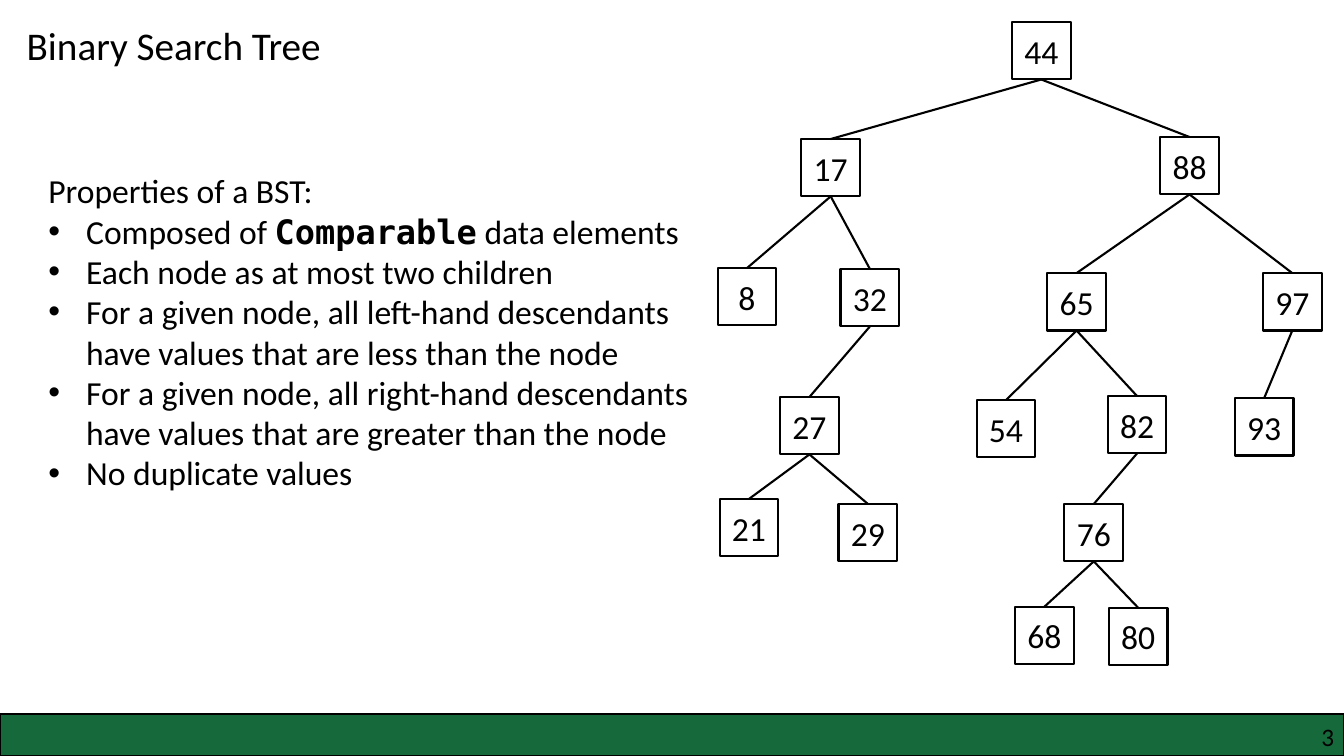
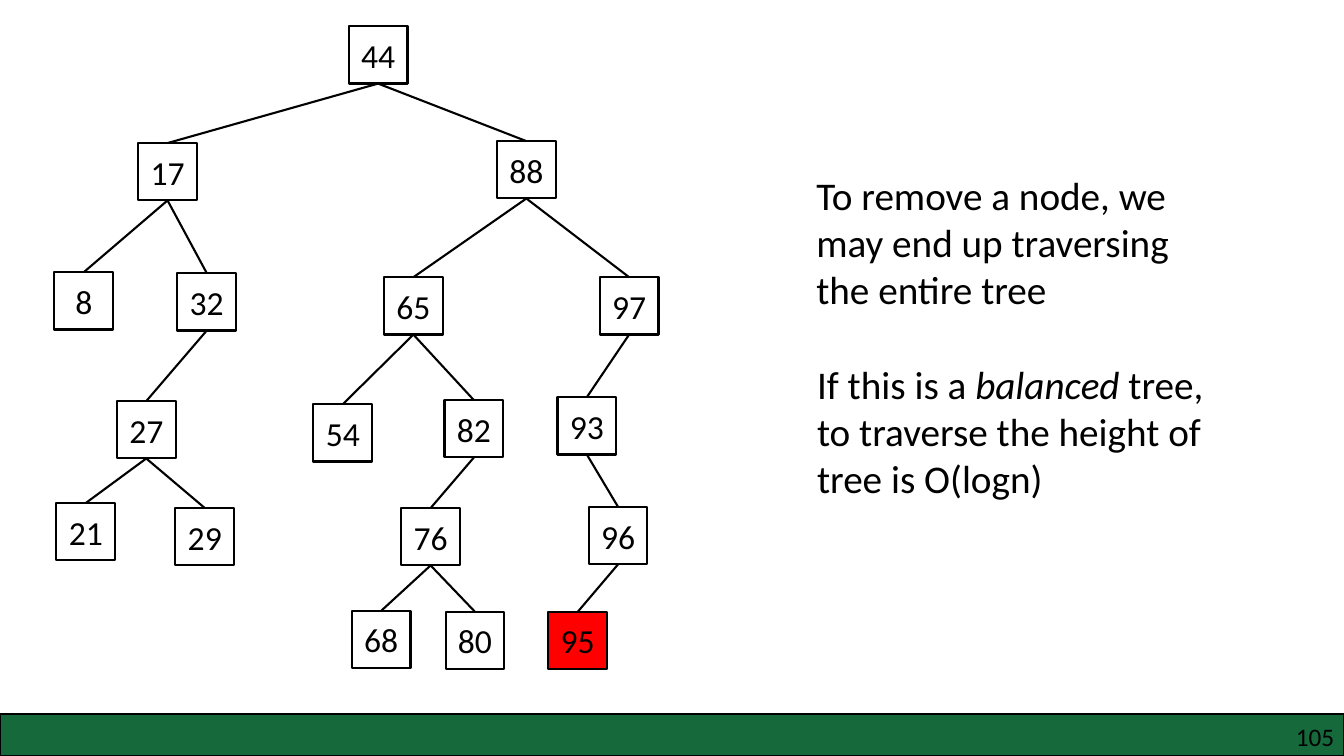
from lxml import etree
from pptx import Presentation
from pptx.dml.color import RGBColor
from pptx.enum.shapes import MSO_CONNECTOR, MSO_SHAPE
from pptx.enum.text import MSO_ANCHOR, PP_ALIGN
from pptx.oxml.ns import qn
from pptx.util import Pt

RECT, STRAIGHT = MSO_SHAPE.RECTANGLE, MSO_CONNECTOR.STRAIGHT
LEFT, CENTER, RIGHT = PP_ALIGN.LEFT, PP_ALIGN.CENTER, PP_ALIGN.RIGHT
MIDDLE = MSO_ANCHOR.MIDDLE

BLACK = RGBColor(0x00, 0x00, 0x00)
WHITE = RGBColor(0xFF, 0xFF, 0xFF)
GREEN = RGBColor(0x15, 0x69, 0x3B)
RED = RGBColor(0xFF, 0x00, 0x00)
SANS, MONO = "Calibri", "DejaVu Sans Mono"

SLIDE_W, SLIDE_H = 960, 540
BAND_H = 30
NODE_W, NODE_H = 42, 41
TOP_SIDE, BOTTOM_SIDE = 0, 2

# Node value: left and top within the tree
NODES = {
    44: (210.2, 0),
    17: (59.8, 83.5), 88: (316.1, 82.1),
    8: (0, 175.7), 32: (87.8, 176.4), 65: (235.4, 179.3), 97: (389.5, 179.3),
    27: (44.6, 267.8), 54: (185, 270), 82: (278.6, 267.1), 93: (369.4, 268.6),
    21: (1.4, 340.6), 29: (86.4, 344.2), 76: (247.7, 344.2),
    68: (212.4, 417.6), 80: (279.4, 418.3),
}
CHILDREN = {
    44: (17, 88), 17: (8, 32), 88: (65, 97), 32: (27,), 65: (54, 82),
    97: (93,), 27: (21, 29), 82: (76,), 76: (68, 80),
}
# The tree after two more values were added below 93
GROWN_NODES = {**NODES, 93: (359.3, 265), 96: (381.6, 343.4), 95: (352.8, 418.3)}
GROWN_CHILDREN = {**CHILDREN, 93: (96,), 96: (95,)}


def style_run(r, size, name=SANS, bold=False, italic=False):
    r.font.size, r.font.name = Pt(size), name
    r.font.bold, r.font.italic = bold, italic
    r.font.color.rgb = BLACK


def add_bullet(p, indent=27):
    pPr = p._p.get_or_add_pPr()
    pPr.set("marL", str(Pt(indent)))
    pPr.set("indent", str(Pt(-indent)))
    etree.SubElement(pPr, qn("a:buFont")).set("typeface", "Arial")
    etree.SubElement(pPr, qn("a:buChar")).set("char", "•")


def add_text(s, box, paragraphs, size, align=LEFT, wrap=True, inset=True, bullets_from=None):
    """Each paragraph is a list of (text, run style) pairs."""
    tf = s.shapes.add_textbox(*map(Pt, box)).text_frame
    tf.word_wrap = wrap
    if not inset:
        tf.margin_left = tf.margin_top = tf.margin_right = tf.margin_bottom = 0
    for i, runs in enumerate(paragraphs):
        p = tf.add_paragraph() if i else tf.paragraphs[0]
        p.alignment = align
        if bullets_from is not None and i >= bullets_from:
            add_bullet(p)
        for text, style in runs:
            r = p.add_run()
            r.text = text
            style_run(r, size, **style)


def add_box(s, box, fill, line_width):
    sp = s.shapes.add_shape(RECT, *map(Pt, box))
    sp.shadow.inherit = False
    sp.fill.solid()
    sp.fill.fore_color.rgb = fill
    sp.line.color.rgb = BLACK
    sp.line.width = Pt(line_width)
    return sp


def add_node(s, left, top, value, fill):
    sp = add_box(s, (left, top, NODE_W, NODE_H), fill, 1.5)
    tf = sp.text_frame
    tf.text = str(value)
    tf.vertical_anchor = MIDDLE
    p = tf.paragraphs[0]
    p.alignment = CENTER
    style_run(p.runs[0], 24)
    return sp


def add_edge(s, parent, child):
    edge = s.shapes.add_connector(STRAIGHT, 0, 0, 0, 0)
    edge.begin_connect(parent, BOTTOM_SIDE)
    edge.end_connect(child, TOP_SIDE)
    edge.line.color.rgb = BLACK
    edge.line.width = Pt(1.5)
    etree.SubElement(edge._element.spPr, qn("a:effectLst"))


def add_tree(s, left, top, nodes, children, marked=None):
    shapes = {
        value: add_node(s, left + x, top + y, value, RED if value == marked else WHITE)
        for value, (x, y) in nodes.items()
    }
    for parent, below in children.items():
        for child in below:
            add_edge(s, shapes[parent], shapes[child])


def new_slide(prs, number):
    """Blank slide with the green band and its page number."""
    s = prs.slides.add_slide(prs.slide_layouts[6])
    band_top = SLIDE_H - BAND_H
    add_box(s, (0, band_top, SLIDE_W, BAND_H), GREEN, 1)
    add_text(s, (732, band_top + 5, 221, 21.6), [[(number, {})]], 18,
             align=RIGHT, inset=False)
    return s


def properties_slide(prs):
    s = new_slide(prs, "3")
    add_text(s, (12, 12, 258, 41), [[("Binary Search Tree", {})]], 28, wrap=False)
    add_tree(s, 512.6, 15.8, NODES, CHILDREN)
    add_text(s, (27.4, 118, 471.6, 327), [
        [("Properties of a BST:", {})],
        [("Composed of ", {}), ("Comparable", {"name": MONO, "bold": True}),
         (" data elements", {})],
        [("Each node as at most two children", {})],
        [("For a given node, all left-hand descendants have values "
          "that are less than the node", {})],
        [("For a given node, all right-hand descendants have values "
          "that are greater than the node", {})],
        [("No duplicate values", {})],
    ], 24, bullets_from=1)


def removal_slide(prs):
    s = new_slide(prs, "105")
    add_tree(s, 38.9, 18.7, GROWN_NODES, GROWN_CHILDREN, marked=95)
    add_text(s, (576, 118.8, 300, 109), [
        [("To remove a node, we may end up traversing the entire tree", {})],
    ], 28)
    add_text(s, (576.5, 253.5, 300, 143), [
        [("If this is a ", {}), ("balanced", {"italic": True}),
         (" tree, to traverse the height of tree is O(logn)", {})],
    ], 28)


def main():
    prs = Presentation()
    prs.slide_width, prs.slide_height = Pt(SLIDE_W), Pt(SLIDE_H)
    properties_slide(prs)
    removal_slide(prs)
    prs.save("out.pptx")


if __name__ == "__main__":
    main()
